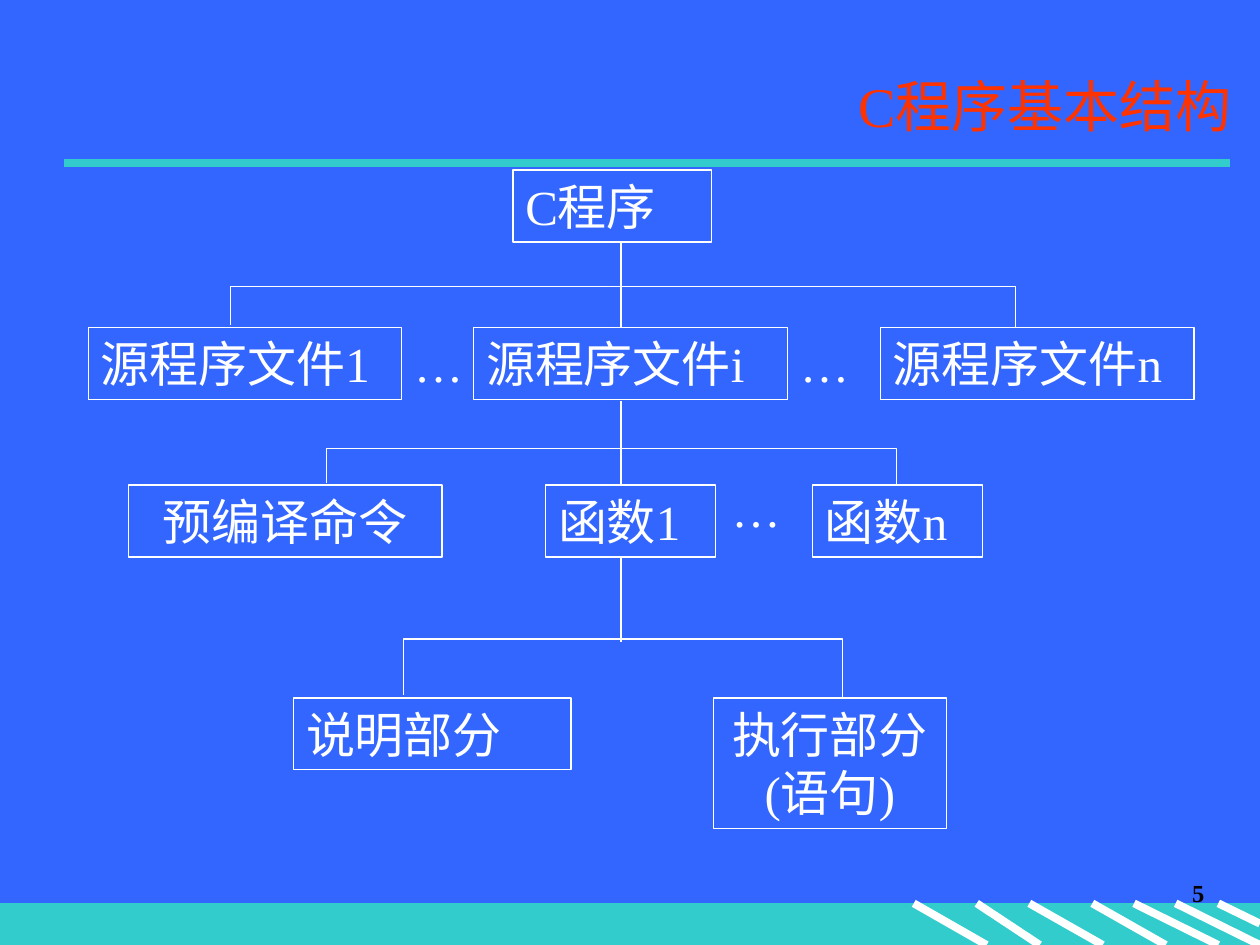
"""Build a slide with a tree of the basic structure of a C program."""
import pptx
import pptx.dml.color
import pptx.enum.shapes
import pptx.enum.text
import pptx.oxml
import pptx.util

Cm = pptx.util.Cm
Pt = pptx.util.Pt
RGB = pptx.dml.color.RGBColor
ALIGN = pptx.enum.text.PP_ALIGN
ANCHOR = pptx.enum.text.MSO_ANCHOR
RECT = pptx.enum.shapes.MSO_SHAPE.RECTANGLE
STRAIGHT = pptx.enum.shapes.MSO_CONNECTOR.STRAIGHT

BLUE = RGB(0x33, 0x66, 0xFF)
TEAL = RGB(0x33, 0xCC, 0xCC)
WHITE = RGB(0xFF, 0xFF, 0xFF)
RED = RGB(0xFF, 0x33, 0x00)
BLACK = RGB(0, 0, 0)
FONT = "Times New Roman"

WIDE, TALL = 25.4, 19.05
BAND = 18.21
HIGH = 1.45
TRUNK = 12.52

TITLE = "C程序基本结构"
PAGE = "5"
ROWS = [
    (3.43, [("C程序", 10.34, 4.01, HIGH, ALIGN.LEFT)]),
    (6.6, [("源程序文件1", 1.78, 6.32, HIGH, ALIGN.LEFT),
           ("源程序文件i", 9.55, 6.32, HIGH, ALIGN.LEFT),
           ("源程序文件n", 17.75, 6.32, HIGH, ALIGN.LEFT)]),
    (9.78, [("预编译命令", 2.59, 6.32, HIGH, ALIGN.CENTER),
            ("函数1", 11.0, 3.43, HIGH, ALIGN.LEFT),
            ("函数n", 16.38, 3.43, HIGH, ALIGN.LEFT)]),
    (14.07, [("说明部分", 5.92, 5.59, HIGH, ALIGN.LEFT),
             ("执行部分(语句)", 14.38, 4.7, 2.64, ALIGN.CENTER)]),
]
DOTS = [(8.1, 6.6), (15.88, 6.6), (14.5, 9.53)]
TRUNKS = [(4.9, 6.6), (8.08, 9.8), (11.25, 12.95)]
FORKS = [(4.65, 20.47, 5.77, 6.6), (6.58, 18.08, 9.04, 9.78),
         (8.13, 16.99, 12.88, 14.05)]
STRIPES = [(18.42, 19.89, TALL), (19.69, 20.96, TALL), (20.75, 22.23, TALL),
           (22.02, 23.5, TALL), (22.86, 24.56, TALL), (23.7, 25.4, TALL),
           (24.56, 25.4, 18.62)]


def write(shape, text, size, color, align, bold=False):
    frame = shape.text_frame
    frame.word_wrap = True
    frame.text = text
    para = frame.paragraphs[0]
    para.alignment = align
    font = para.runs[0].font
    font.name, font.size, font.bold = FONT, Pt(size), bold
    font.color.rgb = color


def draw_line(slide, start, end, color, width):
    line = slide.shapes.add_connector(STRAIGHT, *map(Cm, start + end))
    line.line.color.rgb = color
    line.line.width = Pt(width)
    props = line._element.spPr
    props.append(props.makeelement(pptx.oxml.ns.qn("a:effectLst"), {}))


def draw_box(slide, place, text, align):
    box = slide.shapes.add_shape(RECT, *map(Cm, place))
    box.shadow.inherit = False
    box.fill.background()
    box.line.color.rgb = WHITE
    box.line.width = Pt(0.75)
    box.text_frame.vertical_anchor = ANCHOR.TOP
    write(box, text, 28, WHITE, align)


def draw_fork(slide, left, right, top, foot):
    pen = slide.shapes.build_freeform(Cm(left), Cm(foot - 0.04))
    points = [(left, top), (right, top), (right, foot)]
    pen.add_line_segments([(Cm(x), Cm(y)) for x, y in points], close=False)
    fork = pen.convert_to_shape()
    fork.shadow.inherit = False
    fork.fill.background()
    fork.line.color.rgb = WHITE
    fork.line.width = Pt(0.75)


def draw_frame(slide):
    fill = slide.background.fill
    fill.solid()
    fill.fore_color.rgb = BLUE
    band = slide.shapes.add_shape(RECT, 0, Cm(BAND), Cm(WIDE), Cm(TALL - BAND))
    band.shadow.inherit = False
    band.fill.solid()
    band.fill.fore_color.rgb = TEAL
    band.line.color.rgb = TEAL
    band.line.width = Pt(0.75)
    for start, end, foot in STRIPES:
        draw_line(slide, (start, BAND), (end, foot), WHITE, 4.5)
    draw_line(slide, (1.3, 3.28), (24.79, 3.28), TEAL, 4.5)
    page = slide.shapes.add_textbox(Cm(19.25), Cm(17.58), Cm(5.28), Cm(1.27))
    write(page, PAGE, 14, BLACK, ALIGN.RIGHT, True)
    title = slide.shapes.title
    title.left, title.top, title.width, title.height = map(
        Cm, (3.5, 1.12, 21.59, 2.0))
    title.text_frame.vertical_anchor = ANCHOR.MIDDLE
    write(title, TITLE, 32, RED, ALIGN.RIGHT)


def main():
    deck = pptx.Presentation()
    deck.slide_width, deck.slide_height = Cm(WIDE), Cm(TALL)
    slide = deck.slides.add_slide(deck.slide_layouts[5])
    draw_frame(slide)
    for top, row in ROWS:
        for text, left, width, height, align in row:
            draw_box(slide, (left, top, width, height), text, align)
    for top, foot in TRUNKS:
        draw_line(slide, (TRUNK, top), (TRUNK, foot), WHITE, 0.75)
    for fork in FORKS:
        draw_fork(slide, *fork)
    for left, top in DOTS:
        dots = slide.shapes.add_textbox(Cm(left), Cm(top), Cm(1.68), Cm(HIGH))
        write(dots, "…", 28, WHITE, ALIGN.LEFT)
    deck.save("out.pptx")


if __name__ == "__main__":
    main()
